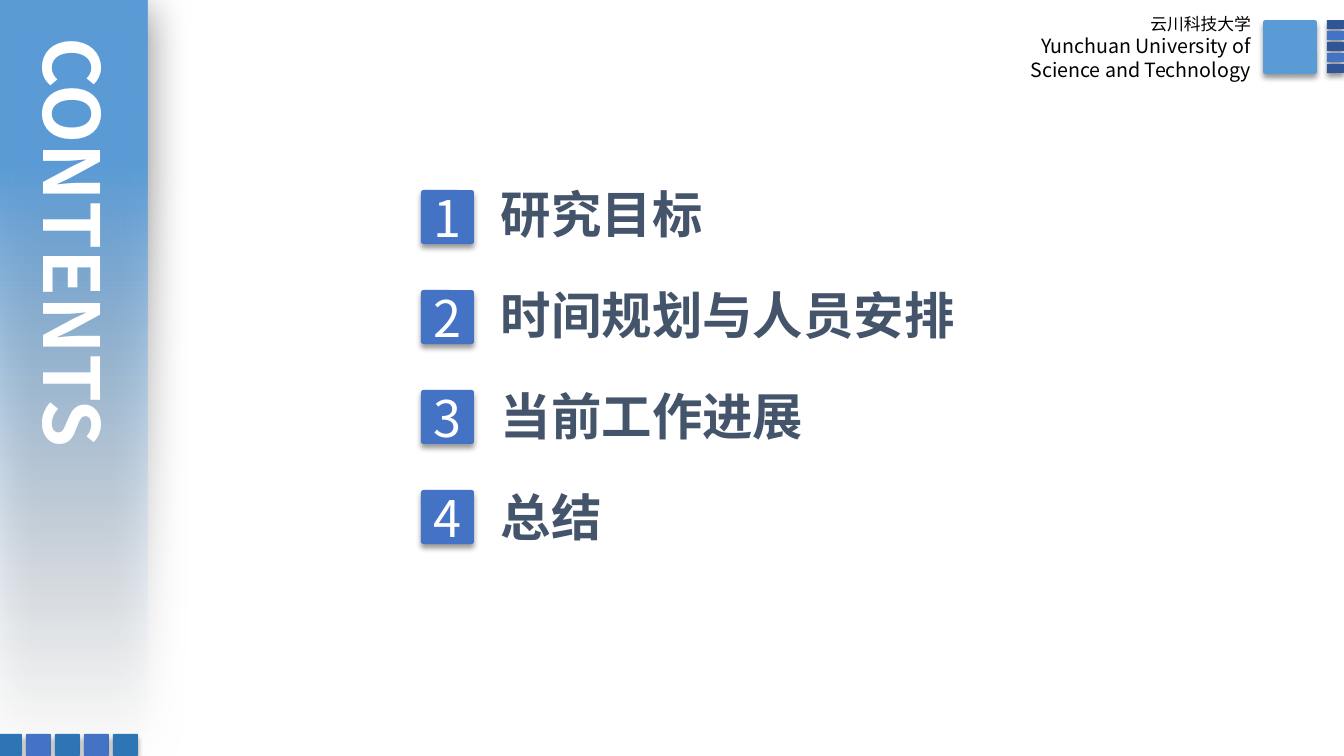
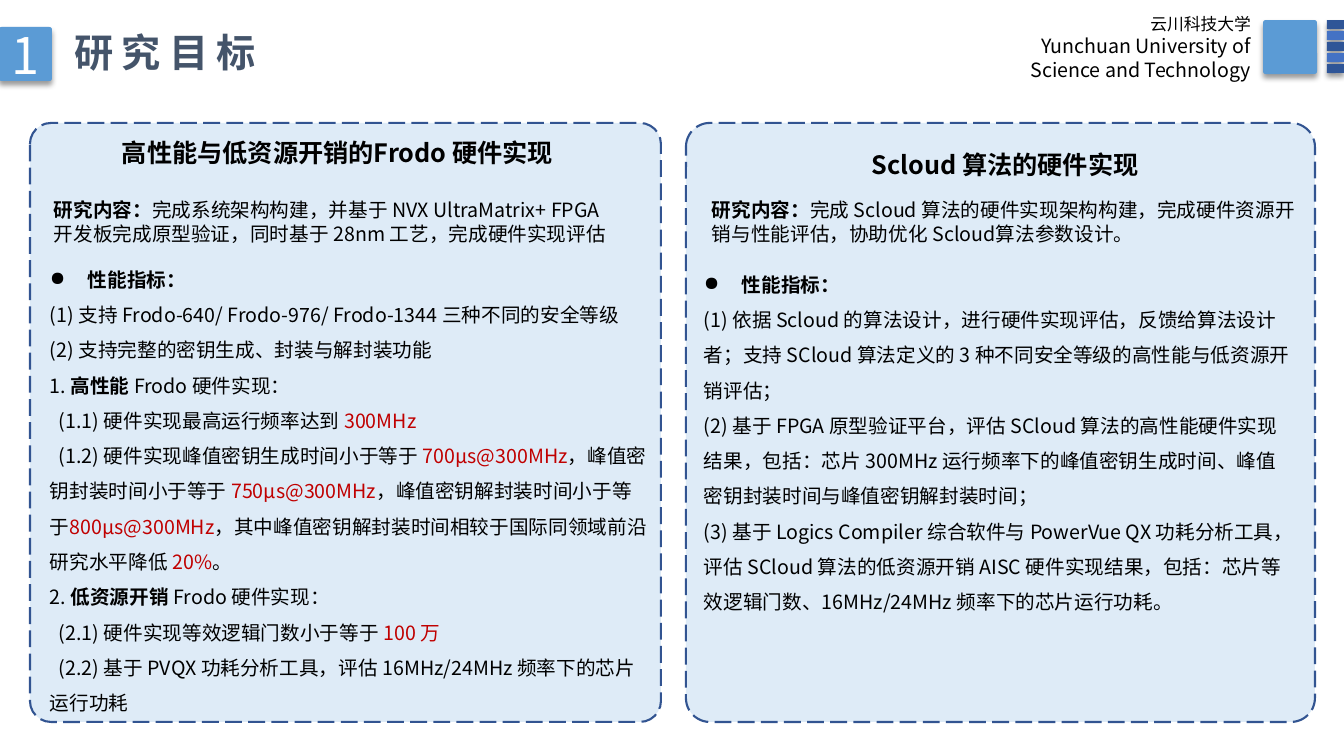
from lxml.etree import SubElement
from pptx import Presentation
from pptx.dml.color import RGBColor
from pptx.enum.dml import MSO_LINE
from pptx.enum.shapes import MSO_SHAPE
from pptx.enum.text import MSO_ANCHOR, MSO_AUTO_SIZE, PP_ALIGN
from pptx.oxml.ns import qn
from pptx.util import Emu, Pt

SLIDE_WIDTH, SLIDE_HEIGHT = 1344, 756
SCALE = 12192000 / SLIDE_WIDTH
FONT = "Noto Sans CJK SC"
BLACK, WHITE, SLATE = "000000", "FFFFFF", "44546A"
SKY, ROYAL, OCEAN, NAVY = "5B9BD5", "4472C4", "2E75B6", "2F5597"
PALE, BORDER = "DEEBF7", "325491"
BOLD = {"bold": True}
RED = {"color": "C00000"}
TILE_SHADOW = {"blur": 4, "distance": 3, "direction": 90, "opacity": 40}
BAND_SHADOW = {"blur": 31, "distance": 6, "direction": 97, "opacity": 50}


def px(length):
    """Turn pixels into EMU."""
    return Emu(round(length * SCALE))


def rgb(code):
    """Turn a hex string into a colour."""
    return RGBColor.from_string(code)


def add_run(paragraph, text, size=14, color=BLACK, bold=False, spacing=0):
    """Append formatted text to a paragraph."""
    run = paragraph.add_run()
    run.text = text
    run.font.size = Pt(size)
    run.font.bold = bold
    run.font.color.rgb = rgb(color)
    run.font.name = FONT
    properties = run._r.get_or_add_rPr()
    SubElement(properties, qn("a:ea")).set("typeface", FONT)
    if spacing:
        properties.set("spc", str(spacing * 100))


class Deck:
    """Hold the shared style and the current slide."""

    def __init__(self):
        """Open an empty deck of the right size."""
        self.file = Presentation()
        self.file.slide_width = px(SLIDE_WIDTH)
        self.file.slide_height = px(SLIDE_HEIGHT)
        self.slide = None

    def start(self):
        """Begin a title-only slide with the school mark."""
        self.slide = self.file.slides.add_slide(self.file.slide_layouts[5])
        for row in range(5):
            self.tile(1327, 20 + 11 * row, 17, 9, (NAVY, ROYAL)[row % 2])
        self.tile(1263, 20, 54, 54, SKY)
        school = self.textbox(683, 9, 578, 78)
        lines = (("云川科技大学", 12), ("Yunchuan University of", 14), ("Science and Technology", 14))
        for index, (line, size) in enumerate(lines):
            add_run(self.paragraph(school, index, PP_ALIGN.RIGHT), line, size=size)

    def title(self, text, left, top, width, height, vertical=False, **style):
        """Place and format the title above everything drawn so far."""
        title = self.slide.shapes.title
        title.left, title.top, title.width, title.height = map(px, (left, top, width, height))
        frame = title.text_frame
        frame.word_wrap = True
        frame.auto_size = MSO_AUTO_SIZE.NONE
        frame.vertical_anchor = MSO_ANCHOR.TOP
        if vertical:
            title.element.txBody.find(qn("a:bodyPr")).set("vert", "eaVert")
        add_run(self.paragraph(frame, 0), text, bold=True, **style)
        title.element.getparent().append(title.element)

    def textbox(self, left, top, width, height):
        """Add a wrapping text box and return its frame."""
        frame = self.slide.shapes.add_textbox(*map(px, (left, top, width, height))).text_frame
        frame.word_wrap = True
        frame.auto_size = MSO_AUTO_SIZE.SHAPE_TO_FIT_TEXT
        return frame

    def paragraph(self, frame, index, align=PP_ALIGN.LEFT):
        """Return the first paragraph of a frame, or a new one."""
        paragraph = frame.add_paragraph() if index else frame.paragraphs[0]
        paragraph.alignment = align
        return paragraph

    def label(self, text, left, top, width, height, align=PP_ALIGN.LEFT, **style):
        """Add a text box with one formatted line."""
        frame = self.textbox(left, top, width, height)
        add_run(self.paragraph(frame, 0, align), text, **style)

    def shape(self, kind, left, top, width, height, corner=None):
        """Add a preset shape without outline or shadow."""
        shape = self.slide.shapes.add_shape(kind, *map(px, (left, top, width, height)))
        shape.shadow.inherit = False
        shape.line.fill.background()
        if corner is not None:
            shape.adjustments[0] = corner
        return shape

    def cast_shadow(self, shape, blur, distance, direction, opacity):
        """Give a shape an outer shadow."""
        effects = shape.element.spPr.find(qn("a:effectLst"))
        shadow = SubElement(effects, qn("a:outerShdw"))
        shadow.set("blurRad", str(Pt(blur)))
        shadow.set("dist", str(Pt(distance)))
        shadow.set("dir", str(direction * 60000))
        shadow.set("rotWithShape", "0")
        shade = SubElement(shadow, qn("a:srgbClr"))
        shade.set("val", BLACK)
        SubElement(shade, qn("a:alpha")).set("val", str(opacity * 1000))

    def tile(self, left, top, width, height, color):
        """Add a small raised tile."""
        tile = self.shape(MSO_SHAPE.ROUNDED_RECTANGLE, left, top, width, height, 0.05)
        tile.fill.solid()
        tile.fill.fore_color.rgb = rgb(color)
        self.cast_shadow(tile, **TILE_SHADOW)
        return tile

    def badge(self, number, left, top, color):
        """Add a numbered tile."""
        frame = self.tile(left, top, 53, 54, color).text_frame
        frame.vertical_anchor = MSO_ANCHOR.MIDDLE
        add_run(self.paragraph(frame, 0, PP_ALIGN.CENTER), str(number), size=36, color=WHITE)

    def band(self, left, top, width, height):
        """Add the side band that fades out downwards."""
        band = self.shape(MSO_SHAPE.RECTANGLE, left, top, width, height)
        band.fill.gradient()
        band.fill.gradient_angle = 270
        for stop, color, position in zip(band.fill.gradient_stops, (SKY, "F6F8FC"), (0.22, 1)):
            stop.color.rgb = rgb(color)
            stop.position = position
        faded = list(band.element.spPr.iter(qn("a:srgbClr")))[-1]
        SubElement(faded, qn("a:alpha")).set("val", "0")
        self.cast_shadow(band, **BAND_SHADOW)

    def panel(self, left, top, width, height, corner):
        """Add a dashed rounded panel."""
        panel = self.shape(MSO_SHAPE.ROUNDED_RECTANGLE, left, top, width, height, corner)
        panel.fill.solid()
        panel.fill.fore_color.rgb = rgb(PALE)
        panel.line.color.rgb = rgb(BORDER)
        panel.line.width = Pt(1.5)
        panel.line.dash_style = MSO_LINE.LONG_DASH

    def summary(self, text, left, top, width, height):
        """Add the research content with its bold lead."""
        paragraph = self.paragraph(self.textbox(left, top, width, height), 0)
        add_run(paragraph, "研究内容：", bold=True)
        add_run(paragraph, text)

    def targets(self, items, left, top, width, height):
        """Add the bulleted heading and the targets below it."""
        frame = self.textbox(left, top, width, height)
        for index, runs in enumerate([[("性能指标：", BOLD)], *items]):
            paragraph = self.paragraph(frame, index)
            paragraph.line_spacing = 1.5
            properties = paragraph._p.get_or_add_pPr()
            if index == 0:
                properties.set("marL", str(px(38)))
                properties.set("indent", str(-px(38)))
                SubElement(properties, qn("a:buChar")).set("char", "●")
            elif runs[0][0].startswith(("(1.", "(2.")):
                properties.set("indent", str(px(9)))
            for text, style in runs:
                add_run(paragraph, text, **style)


CHAPTERS = ("研究目标", "时间规划与人员安排", "当前工作进展", "总结")
FRODO_TARGETS = [
    [("(1) 支持 Frodo-640/ Frodo-976/ Frodo-1344 三种不同的安全等级", {})],
    [("(2) 支持完整的密钥生成、封装与解封装功能", {})],
    [("1. ", {}), ("高性能 ", BOLD), ("Frodo 硬件实现：", {})],
    [("(1.1) 硬件实现最高运行频率达到 ", {}), ("300MHz", RED)],
    [
        ("(1.2) 硬件实现峰值密钥生成时间小于等于 ", {}),
        ("700μs@300MHz", RED),
        ("，峰值密钥封装时间小于等于 ", {}),
        ("750μs@300MHz", RED),
        ("，峰值密钥解封装时间小于等于", {}),
        ("800μs@300MHz", RED),
        ("，其中峰值密钥解封装时间相较于国际同领域前沿研究水平降低 ", {}),
        ("20%", RED),
        ("。", {}),
    ],
    [("2. ", {}), ("低资源开销 ", BOLD), ("Frodo 硬件实现：", {})],
    [("(2.1) 硬件实现等效逻辑门数小于等于 ", {}), ("100 万", RED)],
    [("(2.2) 基于 PVQX 功耗分析工具，评估 16MHz/24MHz 频率下的芯片运行功耗", {})],
]
SCLOUD_TARGETS = [
    [("(1) 依据 Scloud 的算法设计，进行硬件实现评估，反馈给算法设计者；支持 SCloud 算法定义的 3 种不同安全等级的高性能与低资源开销评估；", {})],
    [("(2) 基于 FPGA 原型验证平台，评估 SCloud 算法的高性能硬件实现结果，包括：芯片 300MHz 运行频率下的峰值密钥生成时间、峰值密钥封装时间与峰值密钥解封装时间；", {})],
    [("(3) 基于 Logics Compiler 综合软件与 PowerVue QX 功耗分析工具，评估 SCloud 算法的低资源开销 AISC 硬件实现结果，包括：芯片等效逻辑门数、16MHz/24MHz 频率下的芯片运行功耗。", {})],
]


def contents_slide(deck):
    """Build the list of chapters."""
    deck.start()
    deck.band(0, 0, 148, 752)
    for column in range(5):
        deck.tile(29 * column - 3, 734, 25, 22, (OCEAN, ROYAL)[column % 2])
    deck.title("CONTENTS", 17, 32, 114, 498, vertical=True, size=55, color=WHITE)
    for row, chapter in enumerate(CHAPTERS):
        deck.badge(row + 1, 421, 190 + 100 * row, ROYAL)
        deck.label(chapter, 491, 178 + 101 * row, 609, 71, size=36, color=SLATE, bold=True)


def goals_slide(deck):
    """Build the two research goals side by side."""
    deck.start()
    deck.badge(1, -1, 27, SKY)
    deck.title(CHAPTERS[0], 64, 23, 274, 57, size=28, color=SLATE, spacing=6)
    deck.panel(30, 123, 631, 599, 0.035)
    deck.panel(686, 123, 629, 599, 0.04)
    heading = {"align": PP_ALIGN.CENTER, "size": 18, "bold": True}
    deck.label("高性能与低资源开销的Frodo 硬件实现", 52, 132, 571, 40, **heading)
    deck.label("Scloud 算法的硬件实现", 716, 144, 578, 40, **heading)
    deck.summary(
        "完成系统架构构建，并基于 NVX UltraMatrix+ FPGA 开发板完成原型验证，同时基于 28nm 工艺，完成硬件实现评估",
        44, 193, 579, 57)
    deck.summary(
        "完成 Scloud 算法的硬件实现架构构建，完成硬件资源开销与性能评估，协助优化 Scloud算法参数设计。",
        702, 193, 605, 57)
    deck.targets(FRODO_TARGETS, 40, 251, 621, 474)
    deck.targets(SCLOUD_TARGETS, 694, 256, 611, 367)


def main():
    """Build and save the deck."""
    deck = Deck()
    contents_slide(deck)
    goals_slide(deck)
    deck.file.save("out.pptx")


if __name__ == "__main__":
    main()
